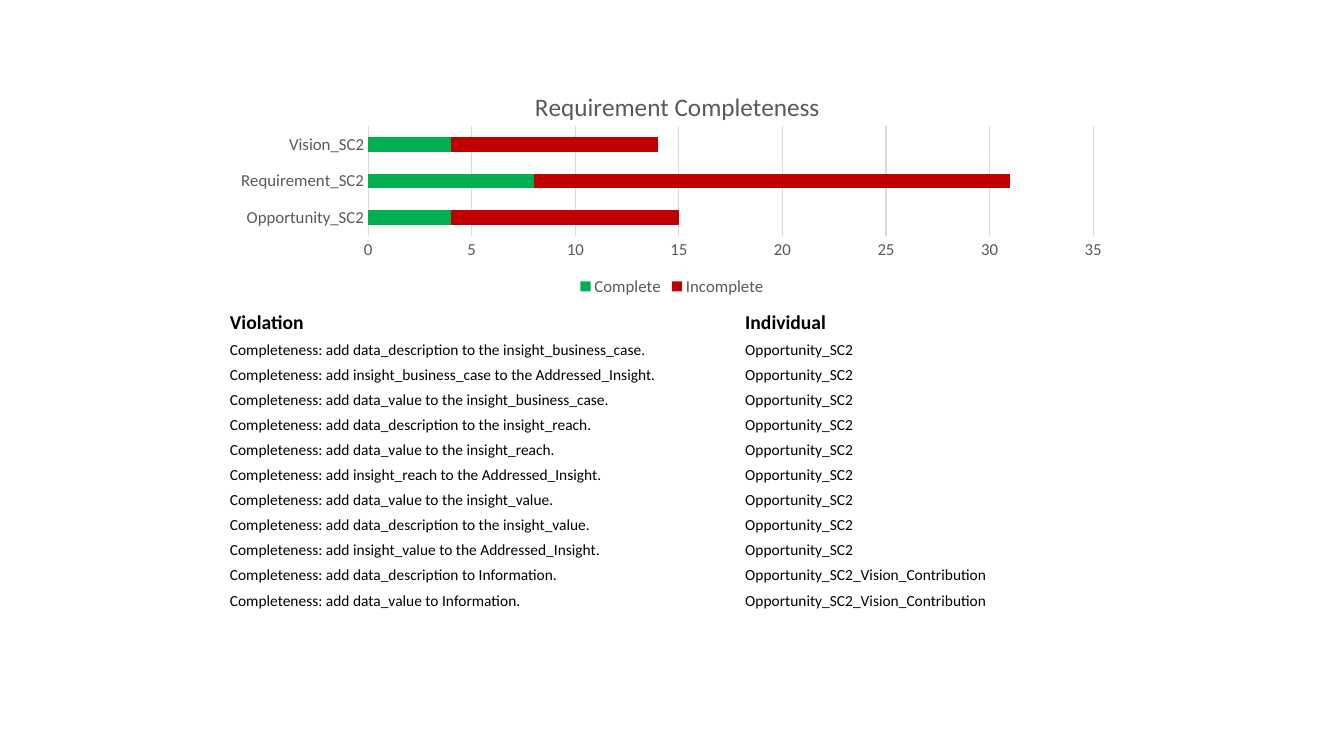
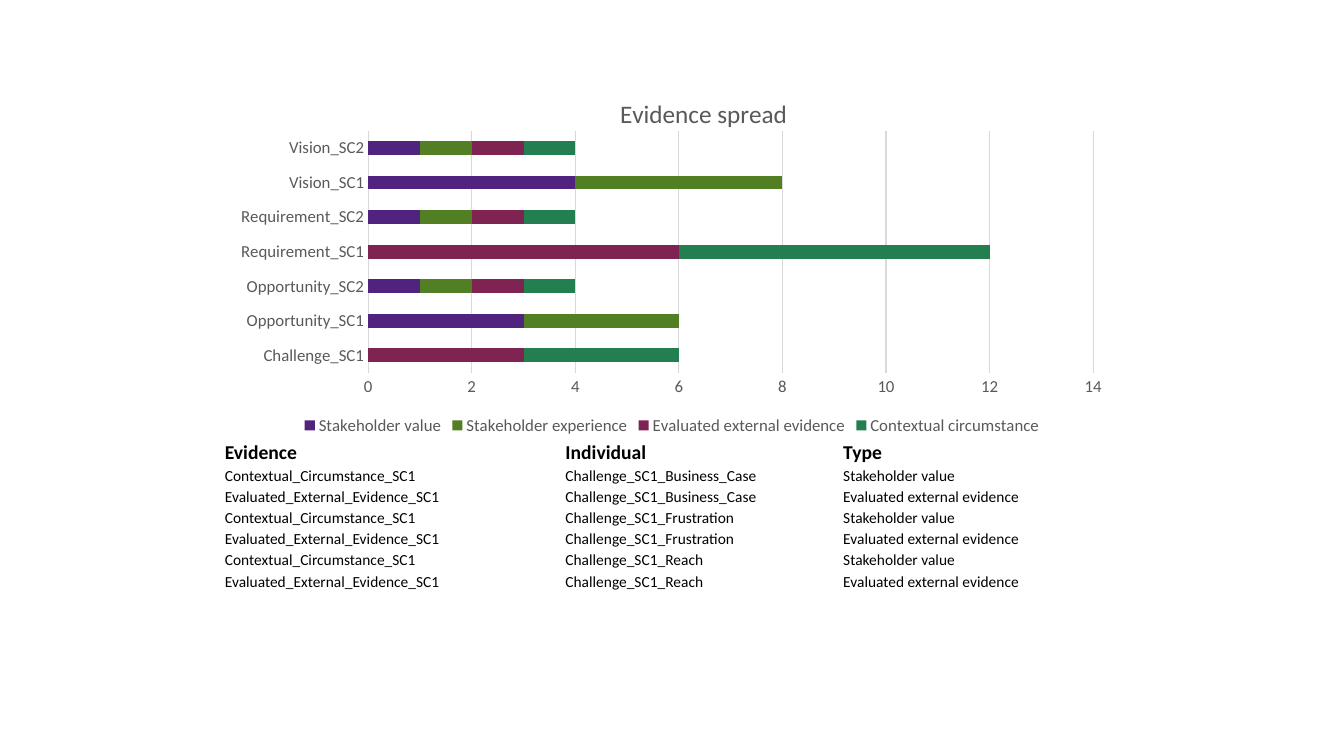
from lxml.etree import SubElement
from pptx import Presentation
from pptx.chart.data import CategoryChartData
from pptx.dml.color import RGBColor
from pptx.enum.chart import XL_CHART_TYPE, XL_LEGEND_POSITION, XL_TICK_MARK
from pptx.enum.text import MSO_ANCHOR
from pptx.oxml.ns import qn
from pptx.util import Inches, Pt

FONT = "Calibri"
INK, GREY, RULE = "000000", "595959", "D9D9D9"
LEFT, WIDTH, CHART_TOP = 2.22, 8.89, 0.68
PLOT_X, PLOT_W = 0.161, 0.809


def rgb(color):
    """Turn a hex string into a colour."""
    return RGBColor.from_string(color)


def style_font(font, size, color, bold=False):
    """Apply the shared typeface with a size, colour and weight."""
    font.name, font.size, font.bold = FONT, Pt(size), bold
    font.color.rgb = rgb(color)


def place(element, **shares):
    """Fix a chart part at shares of the chart's size."""
    layout = element.find(qn("c:layout"))
    if layout is None:
        layout = SubElement(element, qn("c:layout"))
        anchor = element.find(qn("c:tx"))
        if anchor is not None:
            anchor.addnext(layout)
        else:
            element.insert(0, layout)
    for child in list(layout):
        layout.remove(child)
    manual = SubElement(layout, qn("c:manualLayout"))
    modes = {"xMode": "edge", "yMode": "edge"}
    if "w" in shares:
        modes = {"layoutTarget": "inner", **modes}
    for tag, value in {**modes, **shares}.items():
        SubElement(manual, qn(f"c:{tag}")).set("val", str(value))


def style_axes(chart, maximum, step):
    """Style the category and value axes."""
    for axis in (chart.category_axis, chart.value_axis):
        axis.major_tick_mark = axis.minor_tick_mark = XL_TICK_MARK.NONE
        style_font(axis.tick_labels.font, 12, GREY)
    values = chart.value_axis
    values.minimum_scale, values.maximum_scale, values.major_unit = 0, maximum, step
    values.format.line.fill.background()
    values.has_major_gridlines = True
    for line in (chart.category_axis.format.line, values.major_gridlines.format.line):
        line.color.rgb, line.width = rgb(RULE), Pt(0.75)


def stacked_bars(slide, box, title, categories, series, scale, title_at, plot_y, plot_h):
    """Draw a titled stacked bar chart in the box."""
    data = CategoryChartData()
    data.categories = categories
    for name, _, values in series:
        data.add_series(name, values)
    chart = slide.shapes.add_chart(
        XL_CHART_TYPE.BAR_STACKED, *map(Inches, box), data).chart
    style_font(chart.font, 10, INK)
    heading = chart.chart_title.text_frame.paragraphs[0].add_run()
    heading.text = title
    style_font(heading.font, 18, GREY)
    chart.chart_title.include_in_layout = False
    style_axes(chart, *scale)
    bars = chart.plots[0]
    bars.gap_width, bars.overlap, bars.vary_by_categories = 150, 100, False
    for drawn, (_, color, _) in zip(bars.series, series):
        drawn.format.fill.solid()
        drawn.format.fill.fore_color.rgb = rgb(color)
    chart.has_legend = True
    chart.legend.position = XL_LEGEND_POSITION.BOTTOM
    chart.legend.include_in_layout = False
    style_font(chart.legend.font, 12, GREY)
    title_x, title_y = title_at
    place(chart.element.find(".//" + qn("c:title")), x=title_x, y=title_y)
    place(chart.element.find(".//" + qn("c:plotArea")),
          x=PLOT_X, y=plot_y, w=PLOT_W, h=plot_h)


def listing(slide, box, rows, shares, heights, anchor, insets):
    """Fill the box with a plain table under a bold header row."""
    frame = slide.shapes.add_table(len(rows), len(shares), *map(Inches, box))
    table = frame.table
    table.first_row = table.horz_banding = False
    for column, share in zip(table.columns, shares):
        column.width = Inches(box[2] * share)
    header_height, body_height = heights
    for r, entries in enumerate(rows):
        table.rows[r].height = Inches(body_height if r else header_height)
        for c, entry in enumerate(entries):
            cell = table.cell(r, c)
            cell.fill.background()
            cell.vertical_anchor = anchor
            (cell.margin_left, cell.margin_top,
             cell.margin_right, cell.margin_bottom) = map(Inches, insets)
            run = cell.text_frame.paragraphs[0].add_run()
            run.text = entry
            style_font(run.font, 11 if r else 14, INK, bold=r == 0)
    frame.height = Inches(box[3])


def completeness_slide(slide):
    """Show requirement completeness and its violations."""
    stacked_bars(
        slide, (LEFT, CHART_TOP, WIDTH, 2.3), "Requirement Completeness",
        ["Opportunity_SC2", "Requirement_SC2", "Vision_SC2"],
        [("Complete", "00B050", (4, 8, 4)), ("Incomplete", "C00000", (11, 23, 10))],
        scale=(35, 5), title_at=(0.342, 0.07), plot_y=0.248, plot_h=0.474)
    opportunity = "Opportunity_SC2"
    contribution = "Opportunity_SC2_Vision_Contribution"
    missing = [
        ("data_description to the insight_business_case", opportunity),
        ("insight_business_case to the Addressed_Insight", opportunity),
        ("data_value to the insight_business_case", opportunity),
        ("data_description to the insight_reach", opportunity),
        ("data_value to the insight_reach", opportunity),
        ("insight_reach to the Addressed_Insight", opportunity),
        ("data_value to the insight_value", opportunity),
        ("data_description to the insight_value", opportunity),
        ("insight_value to the Addressed_Insight", opportunity),
        ("data_description to Information", contribution),
        ("data_value to Information", contribution),
    ]
    rows = [("Violation", "Individual")]
    rows += [(f"Completeness: add {gap}.", individual) for gap, individual in missing]
    listing(slide, (LEFT, 3.05, WIDTH, 2.99), rows, (0.575, 0.425), (0.27, 0.22),
            MSO_ANCHOR.MIDDLE, (0.06, 0.03, 0.06, 0.03))


def evidence_slide(slide):
    """Show how evidence spreads over individuals."""
    stakeholder = (None, 3, 1, None, 1, 4, 1)
    external = (3, None, 1, 6, 1, None, 1)
    stacked_bars(
        slide, (LEFT, CHART_TOP, WIDTH, 3.68), "Evidence spread",
        ["Challenge_SC1", "Opportunity_SC1", "Opportunity_SC2", "Requirement_SC1",
         "Requirement_SC2", "Vision_SC1", "Vision_SC2"],
        [("Stakeholder value", "50237F", stakeholder),
         ("Stakeholder experience", "527F23", stakeholder),
         ("Evaluated external evidence", "7F2352", external),
         ("Contextual circumstance", "237F4F", external)],
        scale=(14, 2), title_at=(0.437, 0.063), plot_y=0.168, plot_h=0.652)
    sources = [("Contextual_Circumstance_SC1", "Stakeholder value"),
               ("Evaluated_External_Evidence_SC1", "Evaluated external evidence")]
    rows = [("Evidence", "Individual", "Type")]
    rows += [(evidence, f"Challenge_SC1_{aspect}", kind)
             for aspect in ("Business_Case", "Frustration", "Reach")
             for evidence, kind in sources]
    listing(slide, (LEFT, 4.36, WIDTH, 1.49), rows, (0.38, 0.31, 0.31), (0.21, 0.21),
            MSO_ANCHOR.BOTTOM, (0.01, 0.01, 0.01, 0))


deck = Presentation()
deck.slide_width, deck.slide_height = Inches(13.33), Inches(7.5)
for build in (completeness_slide, evidence_slide):
    build(deck.slides.add_slide(deck.slide_layouts[6]))
deck.save("out.pptx")
